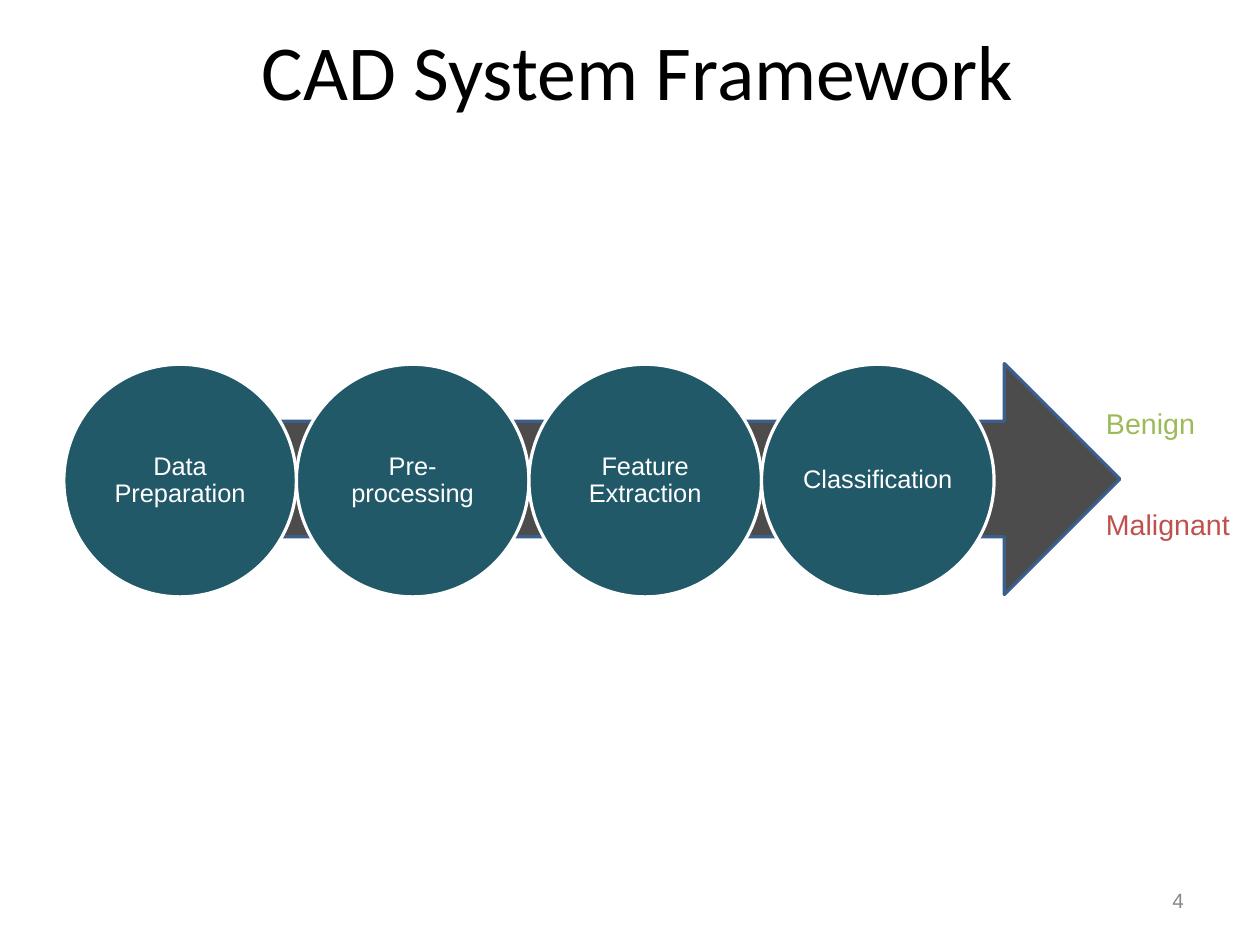
from dataclasses import dataclass

from lxml import etree
from pptx import Presentation
from pptx.dml.color import RGBColor
from pptx.enum.shapes import MSO_SHAPE
from pptx.enum.text import MSO_ANCHOR, MSO_AUTO_SIZE, PP_ALIGN
from pptx.oxml.ns import qn
from pptx.util import Pt

PX = 3175  # 288 px to the inch
ELLIPSE, RIGHT_ARROW = MSO_SHAPE.OVAL, MSO_SHAPE.RIGHT_ARROW
LEFT, CENTER, RIGHT = PP_ALIGN.LEFT, PP_ALIGN.CENTER, PP_ALIGN.RIGHT
MIDDLE, TOP = MSO_ANCHOR.MIDDLE, MSO_ANCHOR.TOP
NO_AUTOFIT = MSO_AUTO_SIZE.NONE


@dataclass(frozen=True)
class Theme:
    heading_font: str = "Calibri"
    body_font: str = "Arial"
    black: str = "000000"
    white: str = "FFFFFF"
    step: str = "215968"
    arrow_line: str = "3A5F8C"
    benign: str = "9BBB59"
    malignant: str = "C0504D"
    muted: str = "888888"
    title_size: int = 49
    outcome_size: int = 18
    step_size: int = 16
    number_size: int = 13
    line_width: int = 2


theme = Theme()


def write(sp, text, size, color, align, anchor=MIDDLE, font=theme.body_font,
          insets=(32, 16), spacing=1.0):
    tf = sp.text_frame
    tf.text = text
    tf.word_wrap = True
    tf.auto_size = NO_AUTOFIT
    tf.vertical_anchor = anchor
    tf.margin_left = tf.margin_right = insets[0] * PX
    tf.margin_top = tf.margin_bottom = insets[1] * PX
    p = tf.paragraphs[0]
    p.alignment = align
    p.line_spacing = spacing
    r = p.runs[0]
    r.font.name = font
    r.font.size = Pt(size)
    r.font.color.rgb = RGBColor.from_string(color)


def add_outlined(preset, box, fill, line):
    sp = s.shapes.add_shape(preset, *(v * PX for v in box))
    sp.shadow.inherit = False
    sp.fill.solid()
    sp.fill.fore_color.rgb = RGBColor.from_string(fill)
    sp.line.color.rgb = RGBColor.from_string(line)
    sp.line.width = Pt(theme.line_width)
    return sp


prs = Presentation()
prs.slide_width, prs.slide_height = 3175 * PX, 2381 * PX
s = prs.slides.add_slide(prs.slide_layouts[5])

title = s.shapes.title
title.left, title.top, title.width, title.height = (v * PX for v in (178, 58, 2857, 236))
write(title, "CAD System Framework", theme.title_size, theme.black, CENTER,
      font=theme.heading_font)

# Process arrow, 70% opaque
arrow = add_outlined(RIGHT_ARROW, (210, 916, 2612, 582), theme.black, theme.arrow_line)
fill_color = arrow.fill._xPr.find(qn("a:solidFill"))[0]
etree.SubElement(fill_color, qn("a:alpha"), val="70000")

# Touching circles, one for each step
STEPS = ["Data Preparation", "Pre-processing", "Feature Extraction", "Classification"]
DIAMETER = 586
for i, step in enumerate(STEPS):
    box = (161 + i * DIAMETER, 918, DIAMETER, DIAMETER)
    circle = add_outlined(ELLIPSE, box, theme.step, theme.white)
    write(circle, step, theme.step_size, theme.white, CENTER, insets=(0, 0), spacing=0.9)

# Outcomes at the arrow tip
OUTCOMES = [("Benign", 1008, 366, theme.benign), ("Malignant", 1263, 395, theme.malignant)]
for outcome, top, width, color in OUTCOMES:
    label = s.shapes.add_textbox(2758 * PX, top * PX, width * PX, 115 * PX)
    write(label, outcome, theme.outcome_size, color, LEFT, TOP, insets=(29, 14))

number = s.shapes.add_textbox(2275 * PX, 2207 * PX, 740 * PX, 127 * PX)
write(number, "4", theme.number_size, theme.muted, RIGHT, spacing=0.93)

prs.save("out.pptx")
